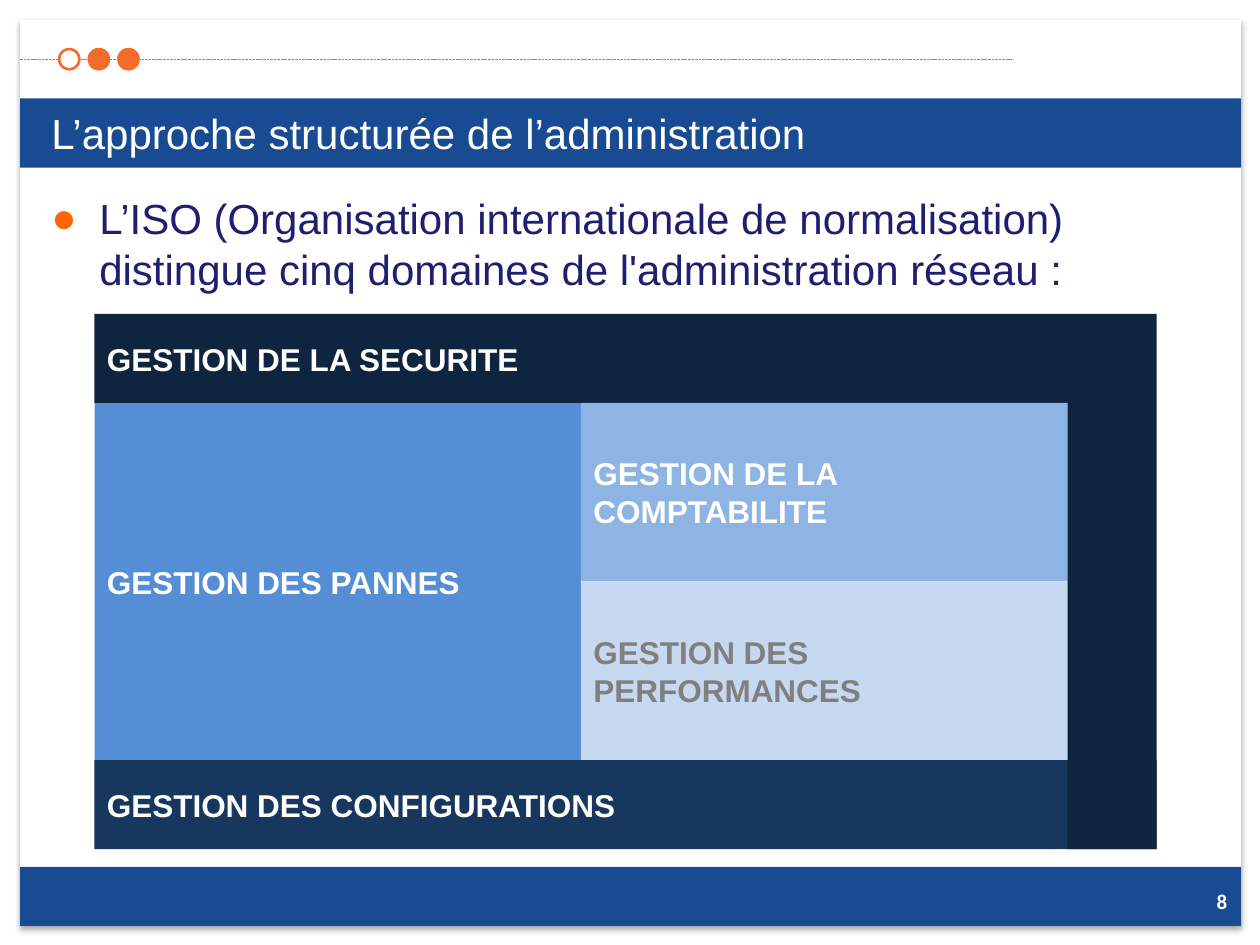
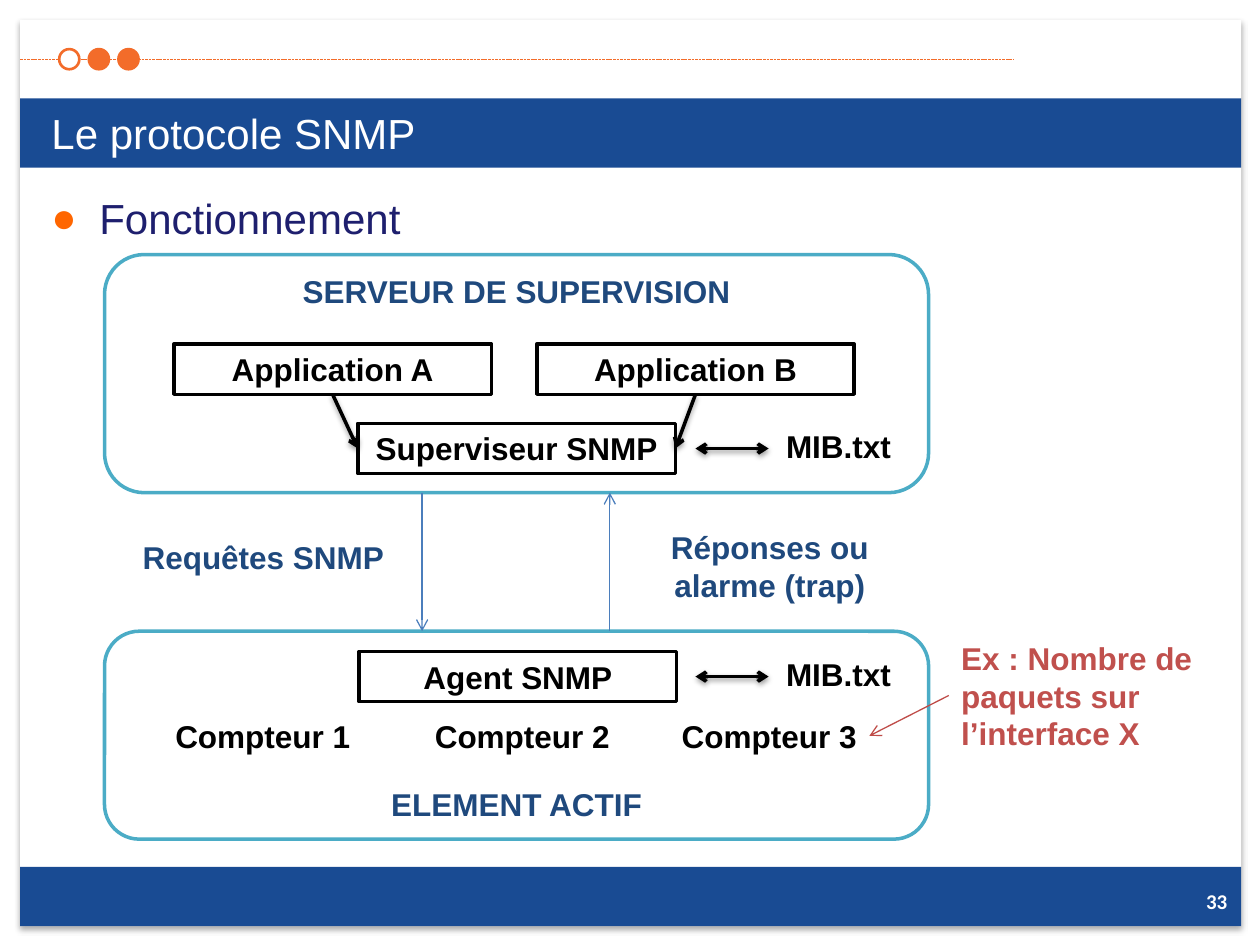
from lxml.etree import SubElement
from pptx import Presentation
from pptx.dml.color import RGBColor
from pptx.enum.dml import MSO_LINE
from pptx.enum.shapes import MSO_CONNECTOR, MSO_SHAPE
from pptx.enum.text import MSO_ANCHOR, PP_ALIGN
from pptx.oxml.ns import qn
from pptx.util import Inches, Pt

COLORS = {
    "white": "FFFFFF", "black": "000000", "band": "194B93", "orange": "F36C2A",
    "bullet": "FF6600", "body": "1E1F6E", "security": "0F243E",
    "config": "17375E", "faults": "558ED5", "accounting": "8EB4E3",
    "performance": "C6D9F1", "gray": "808080", "frame": "4BACC6",
    "label": "1F497D", "flow": "4B7EBC", "note": "C0504D", "note_line": "BF4C48",
}
FONTS = {
    "title": {"name": "Arial", "size": Pt(24), "bold": False},
    "label": {"name": "Arial", "size": Pt(18), "bold": True},
    "number": {"name": "Calibri", "size": Pt(12), "bold": True},
}
LEFT, CENTER, RIGHT = PP_ALIGN.LEFT, PP_ALIGN.CENTER, PP_ALIGN.RIGHT
TOP, MIDDLE, BOTTOM = MSO_ANCHOR.TOP, MSO_ANCHOR.MIDDLE, MSO_ANCHOR.BOTTOM
LABEL_W, LABEL_H = 2.52, 0.4


def rgb(name):
    """Return the colour with this name."""
    return RGBColor.from_string(COLORS[name])


def add_effects(sp, shadow=None):
    """Replace theme effects by none, or by a shadow (alpha %, blur, distance)."""
    effects = SubElement(sp._element.spPr, qn("a:effectLst"))
    if shadow:
        alpha, blur, dist = shadow
        outer = SubElement(effects, qn("a:outerShdw"), blurRad=str(Pt(blur)),
                           dist=str(Pt(dist)), dir="5400000", rotWithShape="0")
        color = SubElement(outer, qn("a:srgbClr"), val=COLORS["black"])
        SubElement(color, qn("a:alpha"), val=str(alpha * 1000))


def write(sp, text, color, font="label", align=CENTER, anchor=TOP):
    """Put one formatted paragraph in a shape and return the paragraph."""
    tf = sp.text_frame
    for name, value in {"word_wrap": True, "vertical_anchor": anchor}.items():
        setattr(tf, name, value)
    p = tf.paragraphs[0]
    p.alignment = align
    r = p.add_run()
    r.text = text
    for name, value in FONTS[font].items():
        setattr(r.font, name, value)
    r.font.color.rgb = rgb(color)
    return p


def add_text(s, box, text, color, **style):
    """Add a text box and return its paragraph."""
    return write(s.shapes.add_textbox(*map(Inches, box)), text, color, **style)


def add_box(s, box, fill, line=None, width=2, kind=MSO_SHAPE.RECTANGLE, shadow=None):
    """Add a filled preset shape, outlined when a line colour is given."""
    sp = s.shapes.add_shape(kind, *map(Inches, box))
    sp.fill.solid()
    sp.fill.fore_color.rgb = rgb(fill)
    if line:
        sp.line.color.rgb = rgb(line)
        sp.line.width = Pt(width)
    else:
        sp.line.fill.background()
    add_effects(sp, shadow)
    return sp


def add_line(s, start, end, color, width, ends=(), shadow=None):
    """Add a straight line with open arrowheads at the named ends."""
    sp = s.shapes.add_connector(MSO_CONNECTOR.STRAIGHT, *map(Inches, start + end))
    sp.line.color.rgb = rgb(color)
    sp.line.width = Pt(width)
    for end_name in ends:
        SubElement(sp.line._ln, qn(f"a:{end_name}"), type="arrow")
    add_effects(sp, shadow)
    return sp


def add_frame(prs, title, bullet, number):
    """Add a slide with the shared page, bands, dots, title, bullet and number."""
    s = prs.slides.add_slide(prs.slide_layouts[6])
    x, w = 0.16, 9.69
    add_box(s, (x, 0.16, w, 7.19), "white", shadow=(32, 3.5, 2.2))
    rule = add_line(s, (x, 0.47), (8.05, 0.47), "orange", 0.5)
    rule.line.dash_style = MSO_LINE.SQUARE_DOT
    for y, h in ((6.88, 0.47), (0.78, 0.55)):
        add_box(s, (x, y, w, h), "band")
    for i, fill in enumerate(("white", "orange", "orange")):
        add_box(s, (0.47 + i * 0.235, 0.39, 0.16, 0.16), fill, "orange", 1.5,
                MSO_SHAPE.OVAL)
    add_text(s, (0.31, 0.78, 9.38, 0.55), title, "white", font="title",
             align=LEFT, anchor=MIDDLE)
    add_text(s, (8.98, 6.95, 0.86, 0.4), number, "white", font="number",
             align=RIGHT, anchor=MIDDLE)
    p = add_text(s, (0.31, 1.48, 9.38, 5.23), bullet, "body", font="title", align=LEFT)
    add_bullet(p)
    return s


def add_bullet(p):
    """Give a paragraph a hanging round bullet."""
    pPr = p._p.get_or_add_pPr()
    pPr.set("marL", str(Inches(0.38)))
    pPr.set("indent", str(-Inches(0.38)))
    SubElement(SubElement(pPr, qn("a:spcBef")), qn("a:spcPct"), val="20000")
    SubElement(SubElement(pPr, qn("a:buClr")), qn("a:srgbClr"), val=COLORS["bullet"])
    SubElement(pPr, qn("a:buFont"), typeface="Arial")
    SubElement(pPr, qn("a:buChar"), char="●")


def add_domains(s, x, y, w, h):
    """Draw the five management domains on six rows, with a band on the right."""
    row = h / 6
    col = (w - row) / 2
    domains = (
        (0, 5 * row, w, row, "config", "GESTION DES CONFIGURATIONS", "white"),
        (0, 0, w, row, "security", "GESTION DE LA SECURITE", "white"),
        (2 * col, row, row, 5 * row, "security", None, None),
        (0, row, col, 4 * row, "faults", "GESTION DES PANNES", "white"),
        (col, row, col, 2 * row, "accounting", "GESTION DE LA COMPTABILITE", "white"),
        (col, 3 * row, col, 2 * row, "performance", "GESTION DES PERFORMANCES", "gray"),
    )
    for dx, dy, dw, dh, fill, text, color in domains:
        sp = add_box(s, (x + dx, y + dy, dw, dh), fill)
        if text:
            write(sp, text, color, align=LEFT, anchor=MIDDLE)


def add_panel(s, box, heading, anchor):
    """Draw a rounded panel with its heading."""
    sp = add_box(s, box, "white", "frame", kind=MSO_SHAPE.ROUNDED_RECTANGLE)
    write(sp, heading, "label", anchor=anchor)


def add_module(s, x, y, text):
    """Draw a black-outlined software module."""
    write(add_box(s, (x, y, LABEL_W, LABEL_H), "white", "black"), text, "black")


def add_link(s, start, end, ends=("tailEnd",)):
    """Draw a thick shadowed arrow between modules."""
    add_line(s, start, end, "black", 2, ends, shadow=(38, 3.1, 1.6))


def add_mib(s, x, y):
    """Draw the two-way arrow to the MIB file, centred on height y."""
    add_link(s, (x, y), (x + 0.58, y), ("headEnd", "tailEnd"))
    add_text(s, (x + 0.59, y - 0.22, 1.09, LABEL_H), "MIB.txt", "black")


def add_server(s, x, y, w, h):
    """Draw the supervision server: two applications over the supervisor."""
    add_panel(s, (x, y, w, h), "SERVEUR DE SUPERVISION", TOP)
    sup_x, sup_y, app_y = x + 2.01, y + 1.34, y + 0.71
    add_module(s, sup_x, sup_y, "Superviseur SNMP")
    mid = sup_y + LABEL_H / 2
    apps = (("Application A", x + 0.55, sup_x),
            ("Application B", x + 3.43, sup_x + LABEL_W))
    for text, app_x, target in apps:
        add_module(s, app_x, app_y, text)
        add_link(s, (app_x + LABEL_W / 2, app_y + LABEL_H), (target, mid))
    add_mib(s, x + 4.69, mid)


def add_element(s, x, y, w, h):
    """Draw the active element: agent, counters and the example beside it."""
    add_panel(s, (x, y, w, h), "ELEMENT ACTIF", BOTTOM)
    add_module(s, x + 2.02, y + 0.16, "Agent SNMP")
    add_mib(s, x + 4.69, y + 0.36)
    for i, dx in enumerate((0.46, 2.52, 4.48), 1):
        add_text(s, (x + dx, y + 0.63, 1.59, LABEL_H), f"Compteur {i}", "black")
    note_x = x + w + 0.16
    add_line(s, (note_x, y + 0.51), (x + 6.07, y + 0.83), "note_line", 0.75,
             ("tailEnd",))
    add_text(s, (note_x, y + 0.01, LABEL_W, 1.01),
             "Ex : Nombre de paquets sur l’interface X", "note", align=LEFT)


def add_exchanges(s, x, y, w, h):
    """Draw the requests going down and the answers going up."""
    down, up = x + LABEL_W, x + 4.01
    add_line(s, (down, y), (down, y + h), "flow", 0.75, ("tailEnd",))
    add_line(s, (up, y + h), (up, y), "flow", 0.75, ("tailEnd",))
    add_text(s, (x, y + 0.31, LABEL_W, LABEL_H), "Requêtes SNMP", "label")
    add_text(s, (x + w - LABEL_W, y + 0.23, LABEL_W, 0.71),
             "Réponses ou alarme (trap)", "label")


def main():
    """Build and save both slides."""
    prs = Presentation()
    prs.slide_width, prs.slide_height = Inches(10), Inches(7.5)
    s = add_frame(prs, "L’approche structurée de l’administration",
                  "L’ISO (Organisation internationale de normalisation) distingue "
                  "cinq domaines de l'administration réseau :", "8")
    add_domains(s, 0.75, 2.49, 8.43, 4.25)

    s = add_frame(prs, "Le protocole SNMP", "Fonctionnement", "33")
    x, w = 0.83, 6.54
    add_server(s, x, 2.02, w, 1.89)
    add_element(s, x, 5.01, w, 1.65)
    add_exchanges(s, x, 3.91, w, 1.1)
    prs.save("out.pptx")


main()
